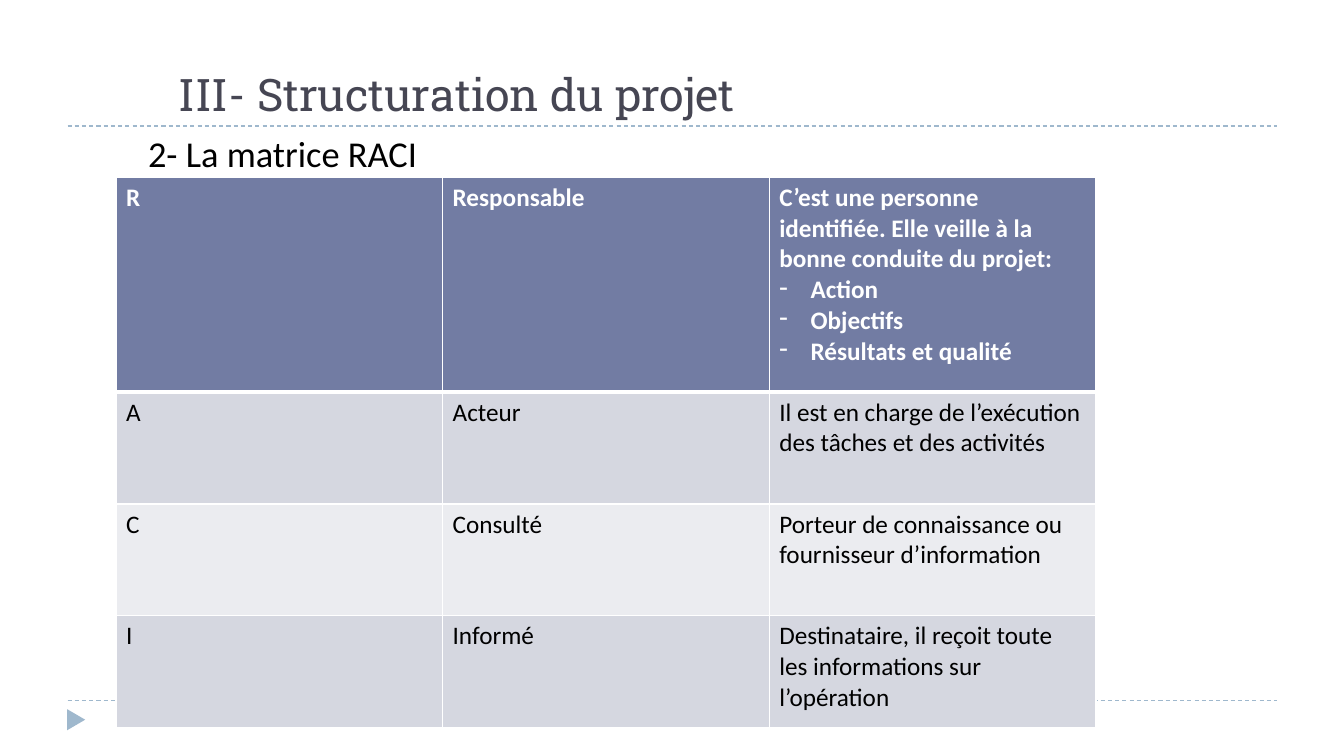
from lxml import etree
from pptx import Presentation
from pptx.dml.color import RGBColor
from pptx.enum.dml import MSO_LINE
from pptx.enum.shapes import MSO_CONNECTOR, MSO_SHAPE
from pptx.enum.text import MSO_ANCHOR, MSO_AUTO_SIZE, PP_ALIGN
from pptx.oxml import parse_xml
from pptx.oxml.ns import nsdecls, qn
from pptx.util import Inches, Pt

STRAIGHT = MSO_CONNECTOR.STRAIGHT
TRIANGLE = MSO_SHAPE.ISOSCELES_TRIANGLE
DASH = MSO_LINE.DASH
BOTTOM = MSO_ANCHOR.BOTTOM
NO_AUTOFIT = MSO_AUTO_SIZE.NONE
LEFT = PP_ALIGN.LEFT

ACCENT = "9FB8CD"
WHITE = "FFFFFF"
BLACK = "000000"
HEADER_FILL = "727CA3"
BAND_FILLS = ["EBECF0", "D5D7E0"]

RACI = [
    ("R", "Responsable",
     "C’est une personne identifiée. Elle veille à la bonne conduite du projet:\n"
     "Action\nObjectifs\nRésultats et qualité"),
    ("A", "Acteur", "Il est en charge de l’exécution des tâches et des activités"),
    ("C", "Consulté", "Porteur de connaissance ou fournisseur d’information"),
    ("I", "Informé", "Destinataire, il reçoit toute les informations sur l’opération"),
]


def style(font, name, size, color, bold=False):
    font.name = name
    font.size = Pt(size)
    font.bold = bold
    font.color.rgb = RGBColor.from_string(color)


prs = Presentation()
prs.slide_width = Inches(13.33)
prs.slide_height = Inches(7.5)
slide = prs.slides.add_slide(prs.slide_layouts[5])
shapes = slide.shapes

# Frame
for y in (6.95, 1.25):
    rule = shapes.add_connector(STRAIGHT, Inches(0.67), Inches(y), Inches(12.67), Inches(y))
    rule.line.color.rgb = RGBColor.from_string(ACCENT)
    rule.line.width = Pt(0.75)
    rule.line.dash_style = DASH
    etree.SubElement(rule._element.spPr, qn("a:effectLst"))

marker = shapes.add_shape(TRIANGLE, Inches(0.65), Inches(7.05), Inches(0.21), Inches(0.18))
marker.rotation = 90
marker.shadow.inherit = False
marker.fill.solid()
marker.fill.fore_color.rgb = RGBColor.from_string(ACCENT)
marker.line.fill.background()

# Headings
title = shapes.title
title.left, title.top = Inches(1.67), Inches(0)
title.width, title.height = Inches(9), Inches(1.25)
title.text = "III- Structuration du projet"
title.text_frame.auto_size = NO_AUTOFIT
title.text_frame.vertical_anchor = BOTTOM
title_line = title.text_frame.paragraphs[0]
title_line.alignment = LEFT
style(title_line.font, "Roboto Slab", 32, "464653")

subtitle = shapes.add_textbox(Inches(1.37), Inches(1.25), Inches(9), Inches(0.5)).text_frame
subtitle.word_wrap = True
subtitle.text = "2- La matrice RACI"
style(subtitle.paragraphs[0].font, "Calibri", 26, BLACK)

# RACI matrix
matrix = shapes.add_table(len(RACI), 3, Inches(1.15), Inches(1.76),
                          Inches(9.72), Inches(5.46)).table
for column in matrix.columns:
    column.width = Inches(3.24)
for r, texts in enumerate(RACI):
    header = r == 0
    matrix.rows[r].height = Inches(2.13 if header else 1.11)
    fill = HEADER_FILL if header else BAND_FILLS[r % 2]
    border_widths = {"L": 1, "R": 1, "T": 3 if r == 1 else 1, "B": 3 if header else 1}
    for c, text in enumerate(texts):
        cell = matrix.cell(r, c)
        cell.text = text
        cell.fill.solid()
        cell.fill.fore_color.rgb = RGBColor.from_string(fill)
        for i, (side, width) in enumerate(border_widths.items()):
            cell._tc.tcPr.insert(i, parse_xml(
                f'<a:ln{side} {nsdecls("a")} w="{Pt(width)}"><a:solidFill>'
                f'<a:srgbClr val="{WHITE}"/></a:solidFill></a:ln{side}>'))
        for i, paragraph in enumerate(cell.text_frame.paragraphs):
            if i > 0:
                props = paragraph._p.get_or_add_pPr()
                props.set("marL", str(Inches(0.31)))
                props.set("indent", str(-Inches(0.31)))
                etree.SubElement(props, qn("a:buChar"), char="-")
            style(paragraph.font, "Calibri", 18, WHITE if header else BLACK, header)

prs.save("out.pptx")
